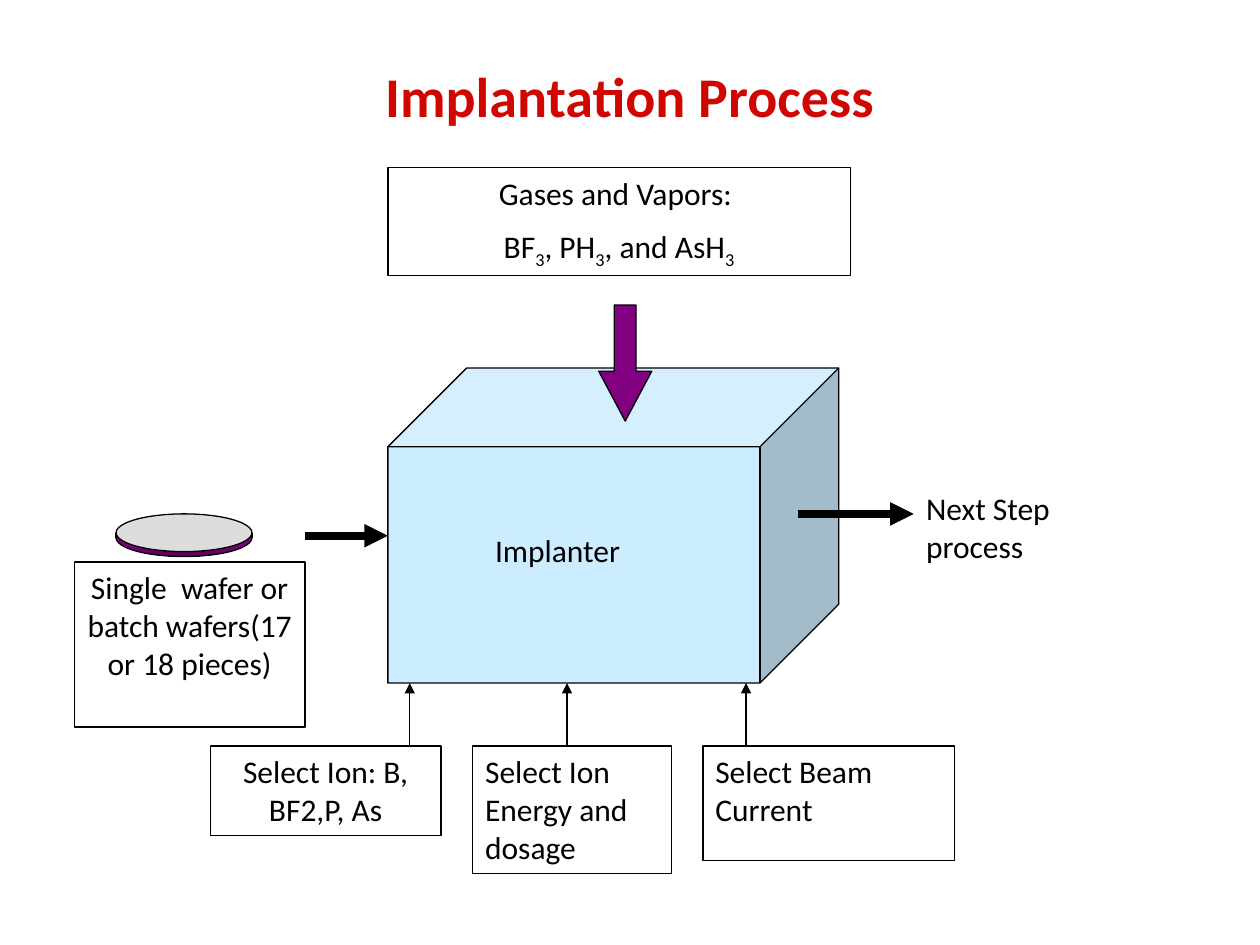
from copy import deepcopy

from lxml import etree
from pptx import Presentation
from pptx import util as u
from pptx.dml.color import RGBColor
from pptx.enum import shapes, text
from pptx.oxml import ns

SHAPE = shapes.MSO_SHAPE
LEFT, CENTER = text.PP_ALIGN.LEFT, text.PP_ALIGN.CENTER
BLACK, PURPLE, DARK_PURPLE = "000000", "800080", "5C005C"

# Content: places are left, top, width, height in centimetres
TITLE = "Implantation Process"
TITLE_PLACE = (1.9, 1.07, 21.59, 1.7)
BODY_FONT = {"name": "Calibri", "size": u.Pt(18)}
TITLE_FONT = {"name": "Calibri", "size": u.Pt(32), "bold": True}

CUBE = (7.82, 7.42, 9.09, 6.35)
GAS_ARROW = (12.07, 6.15, 1.07, 2.34)
WAFER = (2.34, 10.36, 2.74, 0.76)
WAFER_THICKNESS = 0.1
CUBE_BOTTOM = CUBE[1] + CUBE[3]
SETTING_TOP = 15.04

# Paragraphs are lists of runs; a run starting with "_" is a subscript
GASES = [["Gases and Vapors: "],
         ["BF", "_3", ", PH", "_3", ", and AsH", "_3"]]
BOXES = [
    (GASES, (7.82, 3.38, 9.32, 2.18), CENTER),
    ([["Single  wafer or batch wafers(17 or 18 pieces)"]],
     (1.5, 11.33, 4.65, 3.33), CENTER),
    ([["Select Ion: B, BF2,P, As"]], (4.24, SETTING_TOP, 4.65, 1.8), CENTER),
    ([["Select Ion Energy and dosage"]], (9.53, SETTING_TOP, 4.01, 2.57), LEFT),
    ([["Select Beam Current"]], (14.17, SETTING_TOP, 5.08, 2.31), LEFT),
]
LABELS = [
    ([["Next Step process"]], (18.42, 9.73, 4.01, 1.8)),
    ([["Implanter"]], (9.73, 10.59, 4.24, 1.27)),
]
SETTING_ARROWS = [8.26, 11.43, 15.04]
FLOW_ARROWS = [(6.15, CUBE[0], 10.8), (16.08, 18.42, 10.36)]


def color(value):
    return RGBColor.from_string(value)


def lengths(place):
    return [u.Cm(value) for value in place]


def format_font(font, values, hex_color=BLACK):
    for name, value in values.items():
        setattr(font, name, value)
    font.color.rgb = color(hex_color)


def write(frame, paragraphs, align):
    frame.word_wrap = True
    frame.vertical_anchor = text.MSO_ANCHOR.TOP
    for index, runs in enumerate(paragraphs):
        paragraph = frame.paragraphs[0] if index == 0 else frame.add_paragraph()
        paragraph.alignment = align
        if index:
            paragraph.space_before = u.Pt(9)
        for content in runs:
            run = paragraph.add_run()
            run.text = content.lstrip("_")
            format_font(run.font, BODY_FONT)
            if content.startswith("_"):
                run._r.get_or_add_rPr().set("baseline", "-25000")


def add_outlined(parent, kind, place, fill=None):
    shape = parent.add_shape(kind, *lengths(place))
    shape.shadow.inherit = False
    shape.line.color.rgb = color(BLACK)
    shape.line.width = u.Pt(0.75)
    if fill:
        shape.fill.solid()
        shape.fill.fore_color.rgb = color(fill)
    else:
        shape.fill.background()
    return shape


def add_line(parent, start, end, width=0.75, arrow=True):
    connector = parent.add_connector(
        shapes.MSO_CONNECTOR.STRAIGHT, *lengths(start + end))
    connector.line.color.rgb = color(BLACK)
    connector.line.width = u.Pt(width)
    if arrow:
        etree.SubElement(connector.line._get_or_add_ln(),
                         ns.qn("a:tailEnd"), type="triangle")
    etree.SubElement(connector._element.spPr, ns.qn("a:effectLst"))


def fill_gradient(shape, hex_colors):
    shape.fill.gradient()
    shape.fill.gradient_angle = 0
    stop_list = shape._element.spPr.find(".//" + ns.qn("a:gsLst"))
    stop_list.append(deepcopy(stop_list[0]))
    for index, (stop, value) in enumerate(
            zip(shape.fill.gradient_stops, hex_colors)):
        stop.position = index / (len(hex_colors) - 1)
        stop.color.rgb = color(value)


def add_wafer(parent):
    left, top, width, height = WAFER
    group = parent.add_group_shape().shapes
    underside = add_outlined(
        group, SHAPE.OVAL, (left, top + WAFER_THICKNESS, width, height))
    fill_gradient(underside, [PURPLE, DARK_PURPLE, PURPLE])
    add_outlined(group, SHAPE.OVAL, WAFER, "DDDDDD")
    middle = top + height / 2
    for x in (left, left + width):
        add_line(group, (x, middle), (x, middle + WAFER_THICKNESS), arrow=False)


def main():
    presentation = Presentation()
    presentation.slide_width, presentation.slide_height = lengths((25.4, 19.05))
    slide = presentation.slides.add_slide(presentation.slide_layouts[5])

    # Title
    title = slide.shapes.title
    title.left, title.top, title.width, title.height = lengths(TITLE_PLACE)
    title.text_frame.text = TITLE
    title.text_frame.vertical_anchor = text.MSO_ANCHOR.MIDDLE
    paragraph = title.text_frame.paragraphs[0]
    paragraph.alignment = CENTER
    format_font(paragraph.runs[0].font, TITLE_FONT, "D00600")

    # Wafer and implanter
    add_wafer(slide.shapes)
    add_outlined(slide.shapes, SHAPE.CUBE, CUBE, "CCECFF")
    gas_arrow = add_outlined(slide.shapes, SHAPE.DOWN_ARROW, GAS_ARROW, PURPLE)
    gas_arrow.adjustments[0] = 0.41
    gas_arrow.adjustments[1] = 0.94

    # Boxes and labels
    for paragraphs, place, align in BOXES:
        box = add_outlined(slide.shapes, SHAPE.RECTANGLE, place)
        write(box.text_frame, paragraphs, align)
    for paragraphs, place in LABELS:
        label = slide.shapes.add_textbox(*lengths(place))
        write(label.text_frame, paragraphs, LEFT)

    # Arrows
    for x in SETTING_ARROWS:
        add_line(slide.shapes, (x, SETTING_TOP), (x, CUBE_BOTTOM))
    for start, end, y in FLOW_ARROWS:
        add_line(slide.shapes, (start, y), (end, y), width=4.5)

    presentation.save("out.pptx")


if __name__ == "__main__":
    main()
